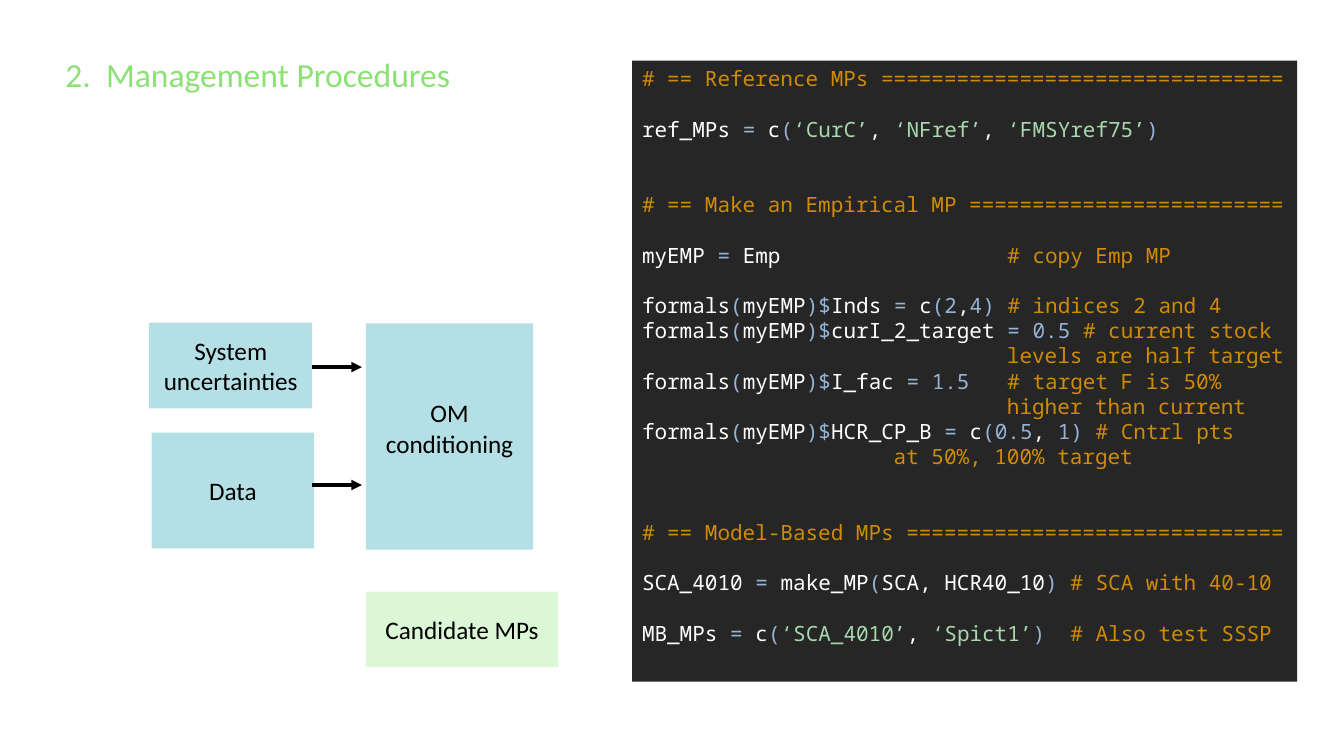
from itertools import groupby

from lxml import etree
from pptx import Presentation
from pptx.dml.color import RGBColor
from pptx.enum import shapes, text
from pptx.oxml import ns
from pptx.util import Cm, Pt

BLACK = RGBColor(0x00, 0x00, 0x00)
WHITE = RGBColor(0xFF, 0xFF, 0xFF)
AQUA = RGBColor(0xB3, 0xDF, 0xE5)
PALE_GREEN = RGBColor(0xDB, 0xF7, 0xD5)
TITLE_GREEN = RGBColor(0x8C, 0xE1, 0x75)
CODE_BACKGROUND = RGBColor(0x26, 0x26, 0x26)
COMMENT = RGBColor(0xCF, 0x8B, 0x03)
OPERATOR = RGBColor(0x95, 0xB4, 0xD7)
STRING = RGBColor(0xA8, 0xD8, 0xAE)

BODY_FONT = "Calibri"
CODE_FONT = "Noto Sans Mono"
CODE_LINE = 18  # points taken by one line of code
CODE_WIDTH = 51  # characters in a heading rule

# Each block is set off by the given number of empty lines.
CODE_BLOCKS = [
    (0, ["# == Reference MPs ".ljust(CODE_WIDTH, "=")]),
    (1, ["ref_MPs = c(‘CurC’, ‘NFref’, ‘FMSYref75’)"]),
    (2, ["# == Make an Empirical MP ".ljust(CODE_WIDTH, "=")]),
    (1, ["myEMP = Emp                  # copy Emp MP"]),
    (1, [
        "formals(myEMP)$Inds = c(2,4) # indices 2 and 4",
        "formals(myEMP)$curI_2_target = 0.5 # current stock",
        "                             levels are half target",
        "formals(myEMP)$I_fac = 1.5   # target F is 50%",
        "                             higher than current",
        "formals(myEMP)$HCR_CP_B = c(0.5, 1) # Cntrl pts",
        "                    at 50%, 100% target",
    ]),
    (2, ["# == Model-Based MPs ".ljust(CODE_WIDTH, "=")]),
    (1, ["SCA_4010 = make_MP(SCA, HCR40_10) # SCA with 40-10"]),
    (1, ["MB_MPs = c(‘SCA_4010’, ‘Spict1’)  # Also test SSSP"]),
]


def add_run(paragraph, words, font_name, size, colour):
    run = paragraph.add_run()
    run.text = words
    run.font.name = font_name
    run.font.size = Pt(size)
    run.font.color.rgb = colour


def add_panel(slide, left, top, width, height, fill):
    panel = slide.shapes.add_shape(
        shapes.MSO_SHAPE.RECTANGLE, Cm(left), Cm(top), Cm(width), Cm(height))
    panel.shadow.inherit = False
    panel.fill.solid()
    panel.fill.fore_color.rgb = fill
    panel.line.fill.background()
    panel.text_frame.word_wrap = True
    return panel


def add_step(slide, label, left, top, width, height, fill=AQUA):
    step = add_panel(slide, left, top, width, height, fill)
    step.text_frame.vertical_anchor = text.MSO_ANCHOR.MIDDLE
    paragraph = step.text_frame.paragraphs[0]
    paragraph.alignment = text.PP_ALIGN.CENTER
    add_run(paragraph, label, BODY_FONT, 18, BLACK)
    return step


def add_arrow(slide, left, right, y):
    arrow = slide.shapes.add_connector(
        shapes.MSO_CONNECTOR.STRAIGHT, Cm(left), Cm(y), Cm(right), Cm(y))
    arrow.line.color.rgb = BLACK
    arrow.line.width = Pt(2.5)
    line = arrow.line._get_or_add_ln()
    etree.SubElement(line, ns.qn("a:tailEnd"), type="triangle")
    etree.SubElement(arrow._element.spPr, ns.qn("a:effectLst"))


def add_title(slide, words):
    title = slide.shapes.add_textbox(Cm(1.4), Cm(1.24), Cm(11.73), Cm(1.28))
    title.text_frame.word_wrap = True
    add_run(title.text_frame.paragraphs[0], words, BODY_FONT, 24, TITLE_GREEN)


def code_colours(code):
    """Yield each character with its syntax colour; spaces keep the last one."""
    colour, previous, quoted = WHITE, "", False
    for character in code:
        if quoted or character == "‘":
            colour, quoted = STRING, character != "’"
        elif character in "=()$":
            colour = OPERATOR
        elif character.isdigit() and not (previous.isalnum() or previous == "_"):
            colour = OPERATOR
        elif character.isalpha() or character in "_,":
            colour = WHITE
        yield character, colour
        previous = character


def add_code_line(paragraph, line):
    code, mark, remark = line.partition("#")
    if line.startswith(" "):  # a comment carried over from the line above
        code, remark = "", line
    for colour, group in groupby(code_colours(code), key=lambda pair: pair[1]):
        words = "".join(character for character, _ in group)
        add_run(paragraph, words, CODE_FONT, 15, colour)
    if remark:
        add_run(paragraph, mark + remark, CODE_FONT, 15, COMMENT)


def add_code(slide):
    panel = add_panel(slide, 15.93, 1.53, 16.76, 15.65, CODE_BACKGROUND)
    frame = panel.text_frame
    frame.vertical_anchor = text.MSO_ANCHOR.TOP
    paragraph = None
    for empty_lines, lines in CODE_BLOCKS:
        for number, line in enumerate(lines):
            paragraph = frame.add_paragraph() if paragraph else frame.paragraphs[0]
            paragraph.alignment = text.PP_ALIGN.LEFT
            if number == 0 and empty_lines:
                paragraph.space_before = Pt(empty_lines * CODE_LINE)
            add_code_line(paragraph, line)


def main():
    presentation = Presentation()
    presentation.slide_width = Cm(33.87)
    presentation.slide_height = Cm(19.05)
    slide = presentation.slides.add_slide(presentation.slide_layouts[6])

    add_step(slide, "Data", 3.82, 10.9, 4.1, 2.92)
    conditioning = add_step(slide, "OM conditioning", 9.22, 8.15, 4.22, 5.7)
    conditioning.text_frame.margin_bottom = Cm(0.56)
    add_step(slide, "System uncertainties", 3.76, 8.13, 4.11, 2.16)
    for y in (9.25, 12.22):
        add_arrow(slide, 7.87, 9.12, y)
    add_title(slide, "2.  Management Procedures")
    add_code(slide)
    add_step(slide, "Candidate MPs", 9.22, 14.91, 4.85, 1.9, PALE_GREEN)

    presentation.save("out.pptx")


if __name__ == "__main__":
    main()
